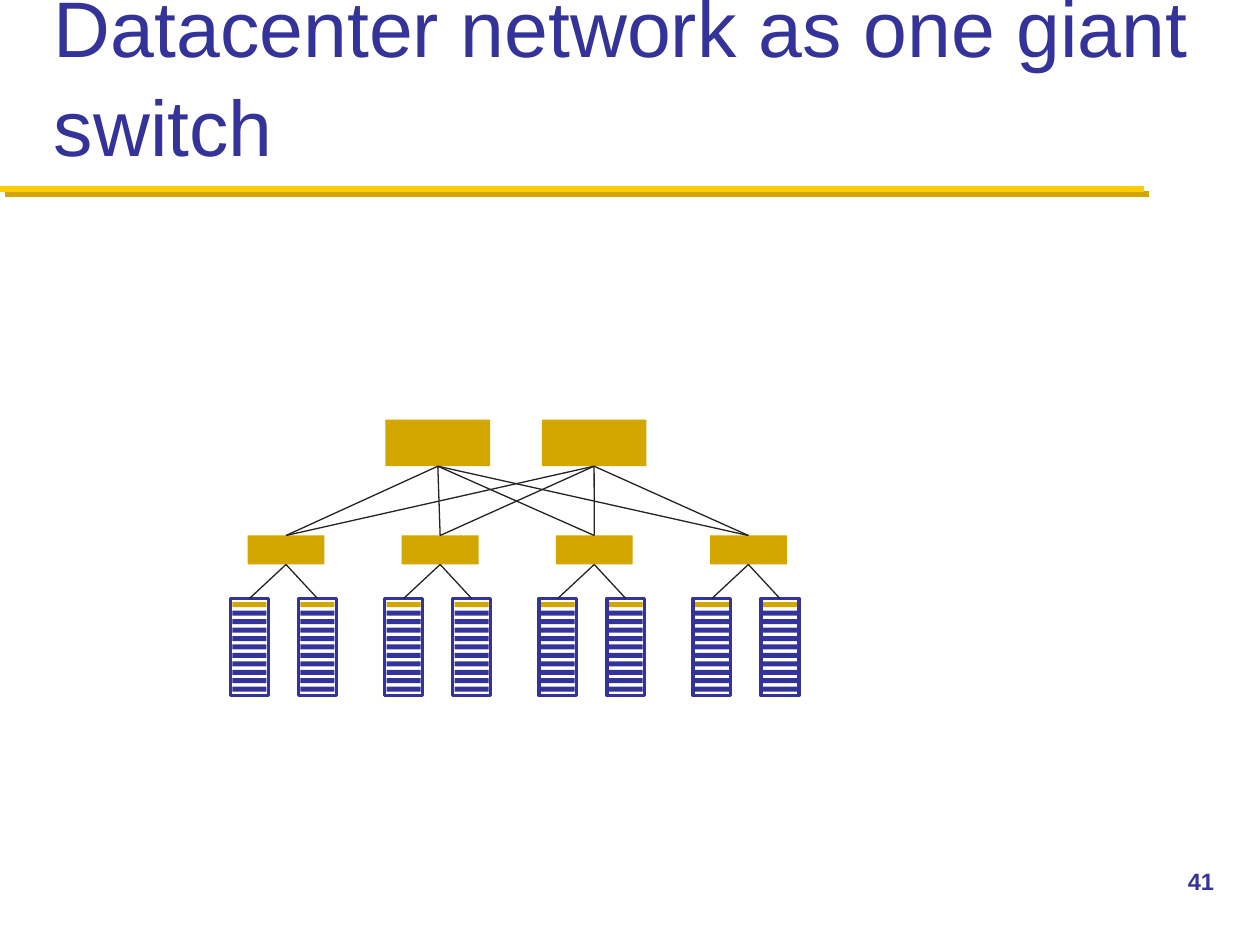
import pptx
import pptx.util
import pptx.dml.color
import pptx.enum.shapes
import pptx.enum.text
from lxml import etree
from pptx.util import Inches

RGBColor = pptx.dml.color.RGBColor
NAVY = RGBColor(0x33, 0x33, 0x99)
GOLD = RGBColor(0xD3, 0xA6, 0x00)
YELLOW = RGBColor(0xFF, 0xCB, 0x05)
INK = RGBColor(0x23, 0x23, 0x23)

POD_COUNT = 4
UNIT_COUNT = 11
POD_LEFT, POD_TOP, POD_WIDTH, POD_HEIGHT = 1.83, 4.25, 0.84, 1.27
POD_PITCH = (5.5 - POD_LEFT) / (POD_COUNT - 1)
CORE_LEFTS = (3.06, 4.3)
CORE_TOP, CORE_WIDTH, CORE_HEIGHT = 3.33, 0.83, 0.37


def add_rect(shapes, left, top, width, height, fill=None, line=None):
    sp = shapes.add_shape(pptx.enum.shapes.MSO_SHAPE.RECTANGLE,
                          Inches(left), Inches(top), Inches(width), Inches(height))
    sp.shadow.inherit = False
    if fill is None:
        sp.fill.background()
    else:
        sp.fill.solid()
        sp.fill.fore_color.rgb = fill
    if line is None:
        sp.line.fill.background()
    else:
        sp.line.color.rgb = line
        sp.line.width = pptx.util.Pt(2)
    return sp


def add_line(shapes, start, end, color=INK, width=0.75):
    """Draw a line and return its empty effect list."""
    cxn = shapes.add_connector(pptx.enum.shapes.MSO_CONNECTOR.STRAIGHT,
                               Inches(start[0]), Inches(start[1]),
                               Inches(end[0]), Inches(end[1]))
    cxn.line.color.rgb = color
    cxn.line.width = pptx.util.Pt(width)
    return etree.SubElement(cxn.element.spPr, pptx.oxml.ns.qn("a:effectLst"))


def add_text(slide, left, top, width, height, text, size, bold=False,
             anchor=pptx.enum.text.MSO_ANCHOR.TOP, spacing=1.0):
    tb = slide.shapes.add_textbox(Inches(left), Inches(top), Inches(width), Inches(height))
    tf = tb.text_frame
    tf.word_wrap = True
    tf.vertical_anchor = anchor
    tf.text = text
    p = tf.paragraphs[0]
    p.line_spacing = spacing
    font = p.runs[0].font
    font.name = "Arial"
    font.size = pptx.util.Pt(size)
    font.bold = bold
    font.color.rgb = NAVY


def add_title_rule(slide, left, top, width):
    effects = add_line(slide.shapes, (left, top), (left + width, top), YELLOW, 3.5)
    qn = pptx.oxml.ns.qn
    shadow = etree.SubElement(effects, qn("a:outerShdw"), dist=str(pptx.util.Pt(4.2)),
                              dir="2700000", algn="ctr", rotWithShape="0")
    etree.SubElement(shadow, qn("a:srgbClr"), val=str(GOLD))


def add_rack(shapes, left, top, width, height):
    """Draw a frame with a gold rack switch above its servers."""
    for row in reversed(range(UNIT_COUNT)):
        add_rect(shapes, left + 0.015, top + 0.03 + row * 0.067, width - 0.03, 0.04,
                 fill=NAVY if row else GOLD)
    add_rect(shapes, left, top, width, height, line=NAVY)


def add_pod(slide, left, top, width, height):
    """Draw two racks under one aggregation switch; return its top centre."""
    shapes = slide.shapes.add_group_shape().shapes
    rack_width, rack_height = 0.3, 0.77
    switch_width, switch_height = 0.61, 0.23
    rack_top = top + height - rack_height
    center = left + 0.44
    rack_lefts = (left, left + width - rack_width)
    for rack_left in rack_lefts:
        add_rack(shapes, rack_left, rack_top, rack_width, rack_height)
    add_rect(shapes, center - switch_width / 2, top, switch_width, switch_height, fill=GOLD)
    for rack_left in rack_lefts:
        add_line(shapes, (rack_left + rack_width / 2, rack_top), (center, top + switch_height))
    return center, top


def add_core(slide, left, top, width, height, uplinks):
    shapes = slide.shapes.add_group_shape().shapes
    add_rect(shapes, left, top, width, height, fill=GOLD)
    for uplink in uplinks:
        add_line(shapes, uplink, (left + width / 2, top + height))


def main():
    prs = pptx.Presentation()
    prs.slide_width, prs.slide_height = Inches(10), Inches(7.5)
    slide = prs.slides.add_slide(prs.slide_layouts[6])
    add_title_rule(slide, 0, 1.5, 9.08)
    add_text(slide, 0.33, 0.17, 9.33, 1.25, "Datacenter network as one giant switch", 45,
             anchor=pptx.enum.text.MSO_ANCHOR.BOTTOM, spacing=1.05)
    add_text(slide, 9.33, 6.83, 0.67, 0.5, "41", 13.5, bold=True)
    uplinks = [add_pod(slide, POD_LEFT + i * POD_PITCH, POD_TOP, POD_WIDTH, POD_HEIGHT)
               for i in range(POD_COUNT)]
    for left in CORE_LEFTS:
        add_core(slide, left, CORE_TOP, CORE_WIDTH, CORE_HEIGHT, uplinks)
    prs.save("out.pptx")


if __name__ == "__main__":
    main()
